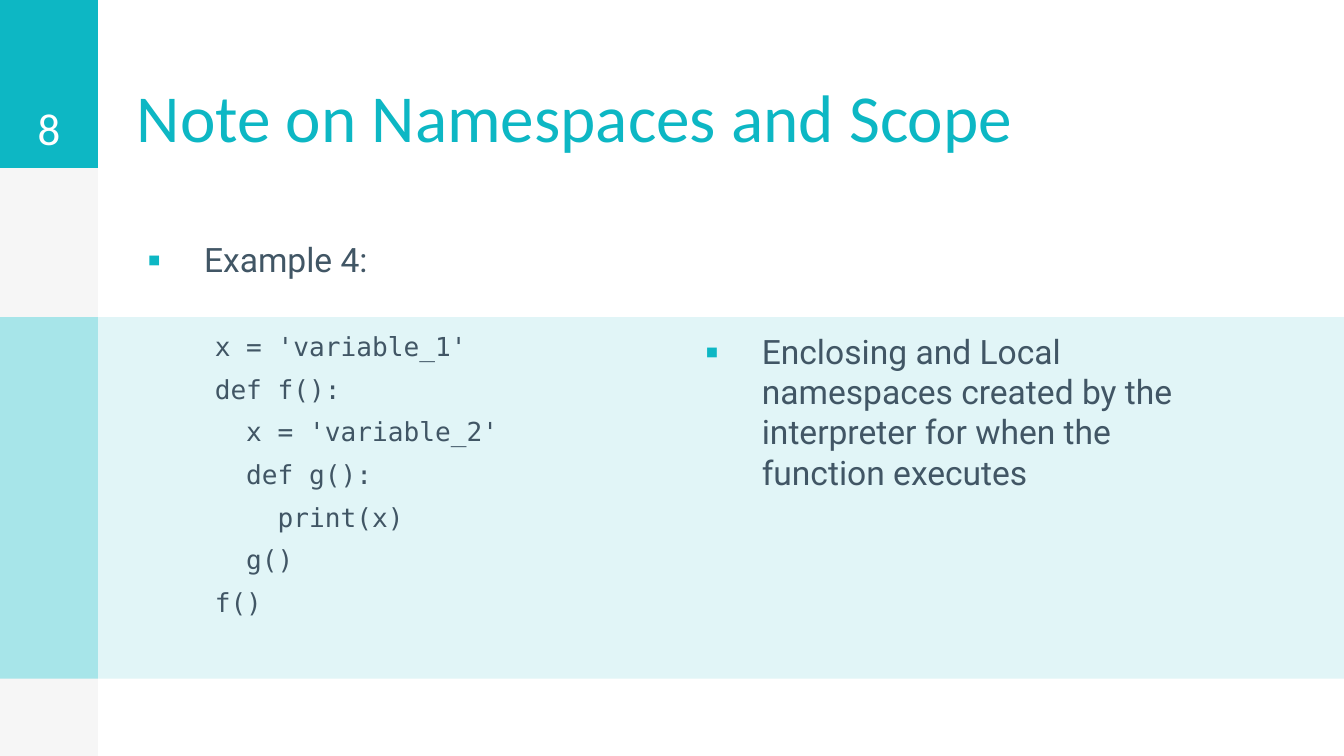
from lxml.etree import SubElement
from pptx import Presentation
from pptx.dml.color import RGBColor
from pptx.enum.shapes import MSO_SHAPE
from pptx.enum.text import MSO_ANCHOR, PP_ALIGN
from pptx.oxml.ns import qn
from pptx.util import Inches, Pt

TEAL = RGBColor(0x0D, 0xB7, 0xC4)
LIGHT_TEAL = RGBColor(0xA7, 0xE5, 0xE9)
PALE_TEAL = RGBColor(0xE1, 0xF5, 0xF7)
GREY = RGBColor(0xF6, 0xF6, 0xF6)
SLATE = RGBColor(0x41, 0x56, 0x65)
WHITE = RGBColor(0xFF, 0xFF, 0xFF)

WIDTH = 10
HEIGHT = WIDTH * 9 / 16
RAIL, HEADER = 0.73, 1.25
BAND_TOP, BAND_HEIGHT = 2.36, 2.69
TEXT_LEFT, COLUMN = 0.92, 4.17

CODE = """x = 'variable_1'
def f():
  x = 'variable_2'
  def g():
    print(x)
  g()
f()"""


class SlideStyle:
    """Draws bands, headings, bullets and code on one slide in a shared style."""

    def __init__(self, slide):
        self.slide = slide

    def band(self, left, top, width, height, color):
        band = self.slide.shapes.add_shape(
            MSO_SHAPE.RECTANGLE, Inches(left), Inches(top), Inches(width), Inches(height))
        band.shadow.inherit = False
        band.fill.solid()
        band.fill.fore_color.rgb = color
        band.line.fill.background()

    def text(self, box, content, font, size, color, anchor=MSO_ANCHOR.TOP):
        frame = self.slide.shapes.add_textbox(*map(Inches, box)).text_frame
        frame.word_wrap = True
        frame.vertical_anchor = anchor
        frame.margin_left = frame.margin_right = Inches(0.1)
        frame.margin_top = frame.margin_bottom = Inches(0.1)
        frame.text = content
        for paragraph in frame.paragraphs:
            for run in paragraph.runs:
                run.font.name = font
                run.font.size = Pt(size)
                run.font.color.rgb = color
        return frame.paragraphs

    def heading(self, box, content, size, color, align=PP_ALIGN.LEFT):
        self.text(box, content, "Calibri", size, color, MSO_ANCHOR.BOTTOM)[0].alignment = align

    def bullet(self, box, content):
        paragraph = self.text(box, content, "Roboto", 18, SLATE)[0]
        properties = paragraph._p.get_or_add_pPr()
        properties.set("marL", str(Inches(0.5)))
        properties.set("indent", str(Inches(-0.42)))
        bullet_color = SubElement(properties, qn("a:buClr"))
        SubElement(bullet_color, qn("a:srgbClr"), val=str(TEAL))
        SubElement(properties, qn("a:buFont"), typeface="Roboto")
        SubElement(properties, qn("a:buChar"), char="▪")

    def code(self, box, content):
        for index, line in enumerate(self.text(box, content, "DejaVu Sans Mono", 14, SLATE)):
            line._p.get_or_add_pPr().set("marL", str(Inches(0.58)))
            if index:
                line.space_before = Pt(6)


def main():
    presentation = Presentation()
    presentation.slide_width = Inches(WIDTH)
    presentation.slide_height = Inches(HEIGHT)
    page = SlideStyle(presentation.slides.add_slide(presentation.slide_layouts[6]))

    page.band(0, 0, RAIL, HEIGHT, GREY)
    page.band(0, 0, RAIL, HEADER, TEAL)
    page.band(RAIL, BAND_TOP, WIDTH - RAIL, BAND_HEIGHT, PALE_TEAL)
    page.band(0, BAND_TOP, RAIL, BAND_HEIGHT, LIGHT_TEAL)

    page.heading((TEXT_LEFT, 0.01, 8.34, HEADER), "Note on Namespaces and Scope", 36, TEAL)
    page.heading((0, 0, RAIL, HEADER), "8", 24, WHITE, PP_ALIGN.CENTER)
    page.bullet((TEXT_LEFT, 1.68, COLUMN, 3.71), "Example 4:")
    page.code((TEXT_LEFT, BAND_TOP, COLUMN, BAND_HEIGHT), CODE)
    page.bullet(
        (5.07, BAND_TOP, COLUMN, BAND_HEIGHT),
        "Enclosing and Local namespaces created by the interpreter for when the function executes")

    presentation.save("out.pptx")


if __name__ == "__main__":
    main()
